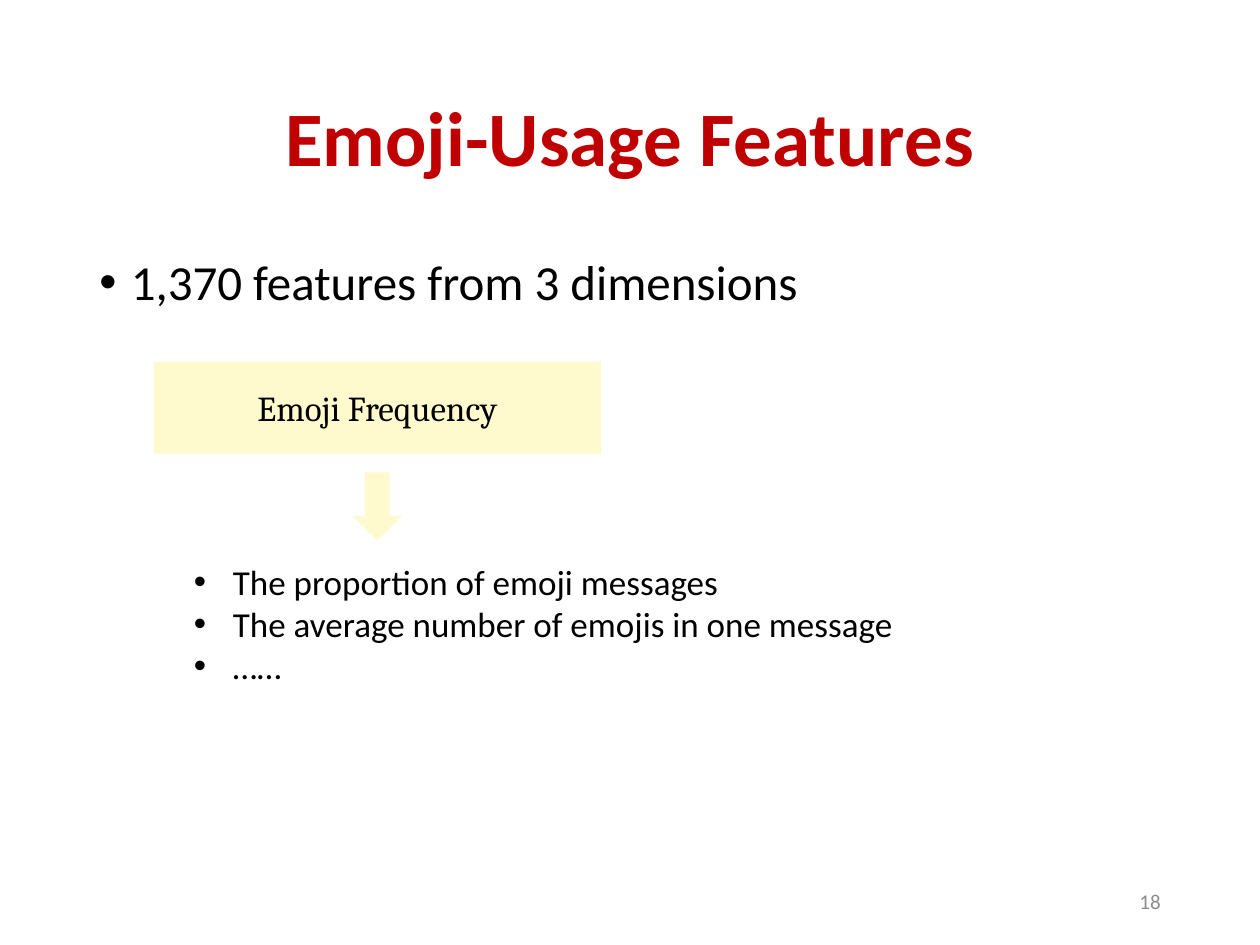
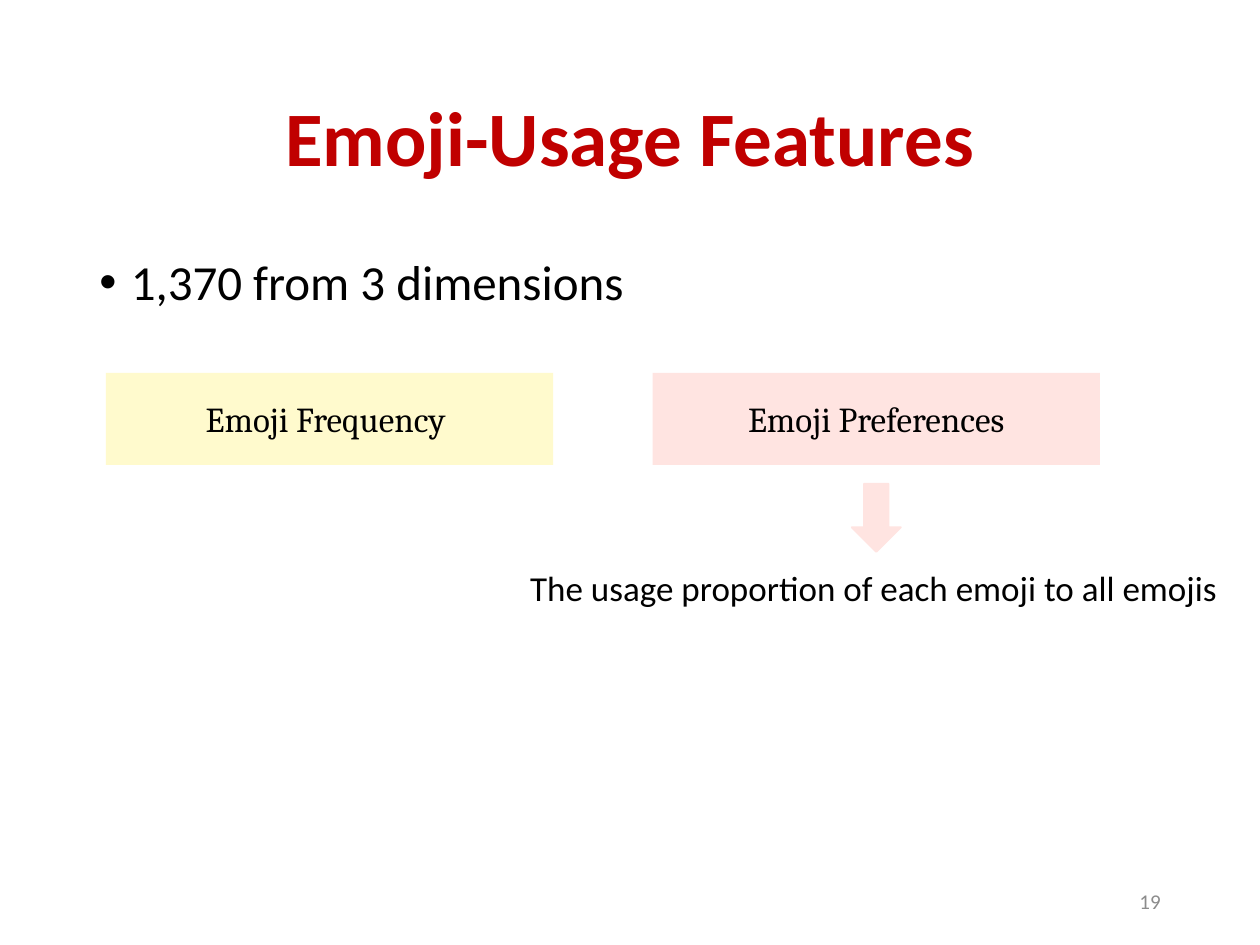
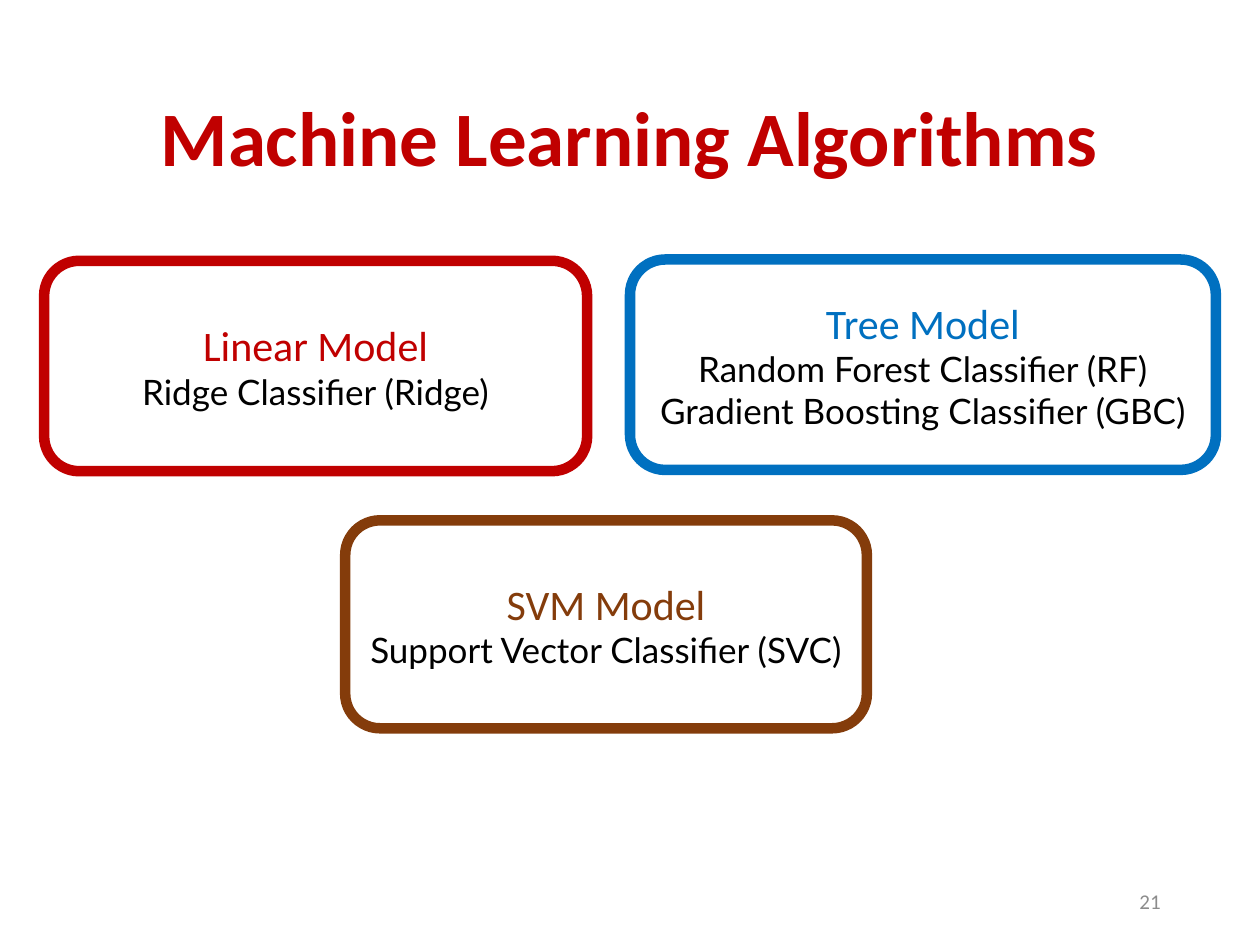
from pptx import Presentation
from pptx.dml.color import RGBColor
from pptx.enum.shapes import MSO_SHAPE
from pptx.enum.text import MSO_ANCHOR, PP_ALIGN
from pptx.oxml.xmlchemy import OxmlElement
from pptx.util import Inches, Pt

# The slide is a grid of 100 columns and 75 rows
CELL = Inches(0.1)
COLUMNS, ROWS = 100, 75
MARGIN = 6.9
CONTENT_W = COLUMNS - 2 * MARGIN

COLORS = {
    "red": "C00000", "blue": "0070C0", "brown": "843C0B",
    "lemon": "FFFACD", "rose": "FFE4E1", "ink": "000000", "grey": "8C8C8C",
}

# Text styles: font values and paragraph values
STYLES = {
    "title": ({"name": "Calibri", "size": Pt(44), "bold": True},
              {"alignment": PP_ALIGN.CENTER, "line_spacing": 0.9}),
    "lead": ({"name": "Calibri", "size": Pt(28)}, {"line_spacing": 0.9}),
    "detail": ({"name": "Calibri", "size": Pt(20)}, {}),
    "label": ({"name": "Cambria", "size": Pt(20)}, {"alignment": PP_ALIGN.CENTER}),
    "model": ({"name": "Calibri", "size": Pt(24)}, {"alignment": PP_ALIGN.CENTER}),
    "method": ({"name": "Lato", "size": Pt(20)}, {"alignment": PP_ALIGN.CENTER}),
    "number": ({"name": "Calibri", "size": Pt(12)}, {"alignment": PP_ALIGN.RIGHT}),
}

LABEL_W, LABEL_H = 35.5, 7.3
ARROW_W, ARROW_H = 3.9, 5.4
ARROW_GAP = 1.5


def rgb(color):
    return RGBColor.from_string(COLORS[color])


def grid(*cells):
    return [round(n * CELL) for n in cells]


def set_values(target, values):
    for name, value in values.items():
        setattr(target, name, value)


def add_bullet(p, indent):
    pPr = p._p.get_or_add_pPr()
    pPr.set("marL", str(Inches(indent)))
    pPr.set("indent", str(-Inches(indent)))
    for tag, name, value in (("a:buFont", "typeface", "Arial"),
                             ("a:buChar", "char", "•")):
        element = OxmlElement(tag)
        element.set(name, value)
        pPr.append(element)


def write(tf, lines, style, color="ink", indent=0):
    """Write one paragraph per line, filling the empty first one if present."""
    font, layout = STYLES[style]
    for line in lines:
        first = tf.paragraphs[0]
        p = tf.add_paragraph() if first.runs else first
        set_values(p, layout)
        if indent:
            add_bullet(p, indent)
        r = p.add_run()
        r.text = line
        set_values(r.font, font)
        r.font.color.rgb = rgb(color)


def add_text(shapes, at, lines, style, color="ink", indent=0,
             anchor=MSO_ANCHOR.TOP, wrap=True):
    tf = shapes.add_textbox(*grid(*at)).text_frame
    set_values(tf, {"word_wrap": wrap, "vertical_anchor": anchor})
    write(tf, lines, style, color, indent)


def add_shape(shapes, kind, at, fill=None, line=None, width=1):
    sp = shapes.add_shape(kind, *grid(*at))
    sp.shadow.inherit = False
    if fill:
        sp.fill.solid()
        sp.fill.fore_color.rgb = rgb(fill)
    else:
        sp.fill.background()
    if line:
        sp.line.color.rgb = rgb(line)
        sp.line.width = Pt(width)
    else:
        sp.line.fill.background()
    set_values(sp.text_frame, {"word_wrap": True, "vertical_anchor": MSO_ANCHOR.MIDDLE})
    return sp


def add_dimension(s, left, top, text, fill):
    sp = add_shape(s.shapes, MSO_SHAPE.RECTANGLE, (left, top, LABEL_W, LABEL_H), fill)
    write(sp.text_frame, [text], "label")


def add_explanation(s, left, top, fill, text_at, lines, indent=0, line=None):
    """Arrow under the dimension at left, top, grouped with its details."""
    shapes = s.shapes.add_group_shape().shapes
    arrow_at = (left + (LABEL_W - ARROW_W) / 2, top + LABEL_H + ARROW_GAP,
                ARROW_W, ARROW_H)
    add_shape(shapes, MSO_SHAPE.DOWN_ARROW, arrow_at, fill, line)
    add_text(shapes, text_at, lines, "detail", indent=indent, wrap=False)


def add_model(s, at, color, name, methods):
    sp = add_shape(s.shapes, MSO_SHAPE.ROUNDED_RECTANGLE, at, line=color, width=6)
    write(sp.text_frame, [name], "model", color)
    write(sp.text_frame, methods, "method")


def add_slide(prs, title, number, lead=None):
    s = prs.slides.add_slide(prs.slide_layouts[6])
    add_text(s.shapes, (MARGIN, 4, CONTENT_W, 14.5), [title], "title", "red",
             anchor=MSO_ANCHOR.MIDDLE)
    if lead:
        add_text(s.shapes, (MARGIN, 20, CONTENT_W, 47.6), [lead], "lead", indent=0.25)
    add_text(s.shapes, (COLUMNS - MARGIN - 22.5, 69.5, 22.5, 4), [str(number)],
             "number", "grey", anchor=MSO_ANCHOR.MIDDLE)
    return s


def main():
    prs = Presentation()
    prs.slide_width, prs.slide_height = grid(COLUMNS, ROWS)

    # Emoji frequency
    s = add_slide(prs, "Emoji-Usage Features", 18, "1,370 features from 3 dimensions")
    left, top = 12.2, 28.7
    add_dimension(s, left, top, "Emoji Frequency", "lemon")
    add_explanation(s, left, top, "lemon", (14.4, 44, 58, 11.1),
                    ["The proportion of emoji messages",
                     "The average number of emojis in one message", "……"],
                    indent=0.31)

    # Emoji preferences
    s = add_slide(prs, "Emoji-Usage Features", 19, "1,370 from 3 dimensions")
    left, top = 51.8, 29.6
    add_dimension(s, 8.4, top, "Emoji Frequency ", "lemon")
    add_dimension(s, left, top, "Emoji Preferences", "rose")
    add_explanation(s, left, top, "rose", (41.1, 44.5, 57, 4.4),
                    ["The usage proportion of each emoji to all emojis"],
                    line="rose")

    # Algorithms by model family
    s = add_slide(prs, "Machine Learning Algorithms", 21)
    for model in (
        ((3.5, 20.7, 43.1, 16.7), "red", "Linear Model", ["Ridge Classifier (Ridge)"]),
        ((50, 20.6, 46.5, 16.7), "blue", "Tree Model",
         ["Random Forest Classifier (RF)", "Gradient Boosting Classifier (GBC)"]),
        ((27.4, 41.3, 41.4, 16.5), "brown", "SVM Model",
         ["Support Vector Classifier (SVC) "]),
    ):
        add_model(s, *model)

    prs.save("out.pptx")


if __name__ == "__main__":
    main()
